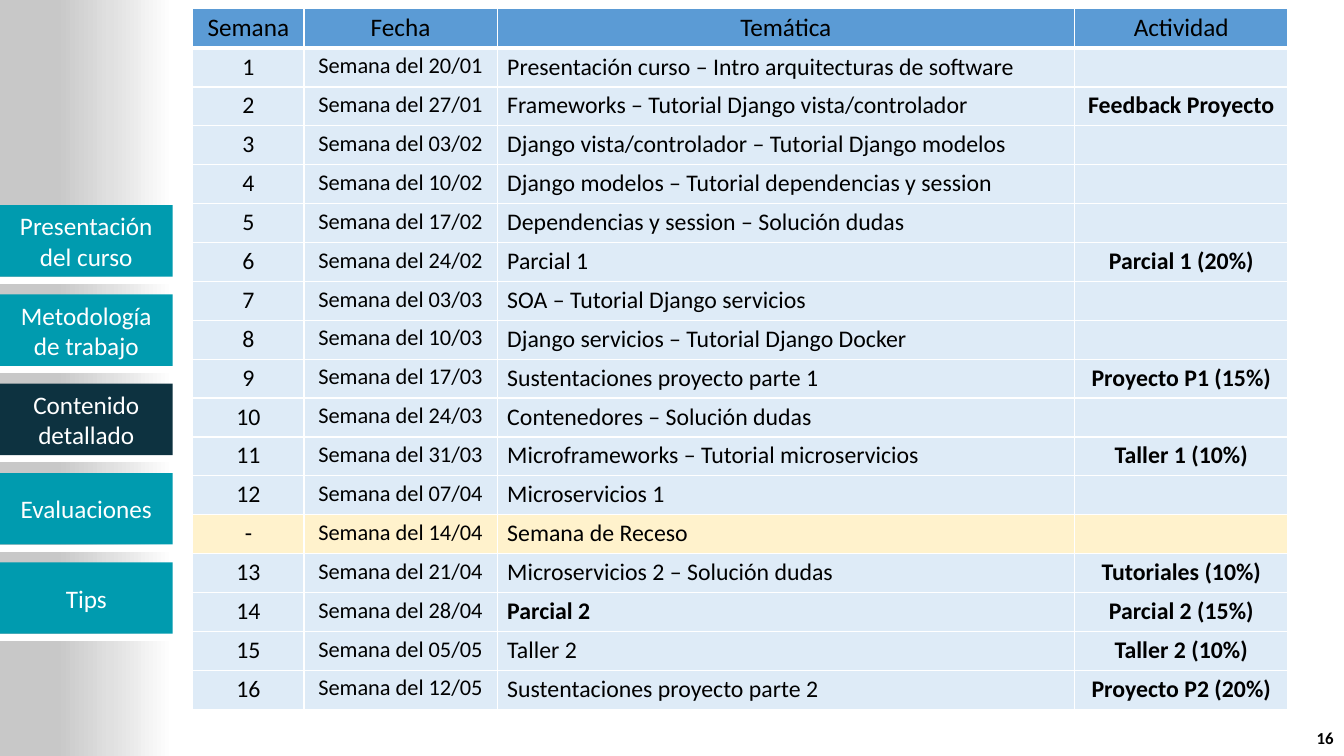
from copy import deepcopy
from dataclasses import dataclass

from pptx import Presentation
from pptx.dml.color import RGBColor
from pptx.enum.shapes import MSO_SHAPE
from pptx.enum.text import MSO_ANCHOR, PP_ALIGN
from pptx.oxml.ns import qn
from pptx.util import Cm, Pt
from lxml import etree

RECT = MSO_SHAPE.RECTANGLE
MIDDLE = MSO_ANCHOR.MIDDLE
LEFT, CENTER, RIGHT = PP_ALIGN.LEFT, PP_ALIGN.CENTER, PP_ALIGN.RIGHT


@dataclass(frozen=True)
class Theme:
    font: str = "Calibri"
    white: str = "FFFFFF"
    black: str = "000000"
    tab: str = "009BAF"
    active_tab: str = "0D3240"
    header: str = "5B9BD5"
    row: str = "DEEBF7"
    break_row: str = "FFF2CC"
    sidebar: tuple = ((0, "FFFFFF"), (0.36, "E0E0E0"), (0.67, "C8C8C8"))
    title_size: int = 18
    body_size: int = 17
    date_size: int = 16
    number_size: int = 12


THEME = Theme()

TABS = ["Presentación del curso", "Metodología de trabajo",
        "Contenido detallado", "Evaluaciones", "Tips"]
ACTIVE_TAB = "Contenido detallado"

HEADERS = ["Semana", "Fecha", "Temática", "Actividad"]
COLUMN_WIDTHS = [2.8, 4.87, 14.55, 5.38]
BREAK_WEEK = "-"
BOLD_TOPIC = "Parcial 2"
WEEKS = [
    ("1", "20/01", "Presentación curso – Intro arquitecturas de software", ""),
    ("2", "27/01", "Frameworks – Tutorial Django vista/controlador", "Feedback Proyecto"),
    ("3", "03/02", "Django vista/controlador – Tutorial Django modelos", ""),
    ("4", "10/02", "Django modelos – Tutorial dependencias y session", ""),
    ("5", "17/02", "Dependencias y session – Solución dudas", ""),
    ("6", "24/02", "Parcial 1", "Parcial 1 (20%)"),
    ("7", "03/03", "SOA – Tutorial Django servicios", ""),
    ("8", "10/03", "Django servicios – Tutorial Django Docker", ""),
    ("9", "17/03", "Sustentaciones proyecto parte 1", "Proyecto P1 (15%)"),
    ("10", "24/03", "Contenedores – Solución dudas", ""),
    ("11", "31/03", "Microframeworks – Tutorial microservicios", "Taller 1 (10%)"),
    ("12", "07/04", "Microservicios 1", ""),
    (BREAK_WEEK, "14/04", "Semana de Receso", ""),
    ("13", "21/04", "Microservicios 2 – Solución dudas", "Tutoriales (10%)"),
    ("14", "28/04", BOLD_TOPIC, "Parcial 2 (15%)"),
    ("15", "05/05", "Taller 2", "Taller 2 (10%)"),
    ("16", "12/05", "Sustentaciones proyecto parte 2", "Proyecto P2 (20%)"),
]


def rgb(color):
    return RGBColor.from_string(color)


def write(tf, text, size, color, align, bold=False):
    p = tf.paragraphs[0]
    p.alignment = align
    if not text:
        p._p.get_or_add_endParaRPr().set("sz", str(size * 100))
        return
    r = p.add_run()
    r.text = text
    r.font.name = THEME.font
    r.font.size = Pt(size)
    r.font.bold = bold
    r.font.color.rgb = rgb(color)


def add_rect(slide, left, top, width, height, color):
    sp = slide.shapes.add_shape(RECT, Cm(left), Cm(top), Cm(width), Cm(height))
    sp.shadow.inherit = False
    sp.fill.solid()
    sp.fill.fore_color.rgb = rgb(color)
    sp.line.fill.background()
    return sp


def add_sidebar(slide, left, top, width, height):
    panel = add_rect(slide, left, top, width, height, THEME.white)
    panel.fill.gradient()
    panel.fill.gradient_angle = 180
    stops = panel._element.spPr.find(".//" + qn("a:gsLst"))
    stops.append(deepcopy(stops[0]))
    for stop, (position, color) in zip(panel.fill.gradient_stops, THEME.sidebar):
        stop.position = position
        stop.color.rgb = rgb(color)

    first_top, pitch, tab_height, rule_height = 5.17, 2.25, 1.8, 0.13
    for i, label in enumerate(TABS):
        tab_top = top + first_top + i * pitch
        rule = add_rect(slide, left, tab_top + tab_height + 0.03, width,
                        rule_height, THEME.white)
        rule.line.color.rgb = rgb(THEME.white)
        rule.line.width = Pt(1.25)
        color = THEME.active_tab if label == ACTIVE_TAB else THEME.tab
        tab = add_rect(slide, left, tab_top, width, tab_height, color)
        tf = tab.text_frame
        tf.word_wrap = True
        tf.vertical_anchor = MIDDLE
        write(tf, label, THEME.title_size, THEME.white, CENTER)


def set_borders(cell, bottom_width):
    tc_pr = cell._tc.get_or_add_tcPr()
    widths = {"lnL": 1, "lnR": 1, "lnT": 1, "lnB": bottom_width}
    for i, (side, width) in enumerate(widths.items()):
        ln = etree.Element(qn("a:" + side), w=str(Pt(width)))
        fill = etree.SubElement(ln, qn("a:solidFill"))
        etree.SubElement(fill, qn("a:srgbClr"), val=THEME.white)
        tc_pr.insert(i, ln)


def fill_cell(cell, text, size, align, color, bold=False, bottom_width=1):
    cell.margin_top = cell.margin_bottom = Cm(0.11)
    cell.fill.solid()
    cell.fill.fore_color.rgb = rgb(color)
    set_borders(cell, bottom_width)
    write(cell.text_frame, text, size, THEME.black, align, bold)


def add_schedule(slide, left, top, width, height):
    frame = slide.shapes.add_table(len(WEEKS) + 1, len(HEADERS),
                                   Cm(left), Cm(top), Cm(width), Cm(height))
    table = frame.table
    for column, column_width in zip(table.columns, COLUMN_WIDTHS):
        column.width = Cm(column_width)
    header_height = 1.0
    for row in table.rows:
        row.height = Cm((height - header_height) / len(WEEKS))
    table.rows[0].height = Cm(header_height)

    for c, title in enumerate(HEADERS):
        fill_cell(table.cell(0, c), title, THEME.title_size, CENTER,
                  THEME.header, bottom_width=3)
    for n, (week, date, topic, activity) in enumerate(WEEKS, start=1):
        color = THEME.break_row if week == BREAK_WEEK else THEME.row
        cells = [
            (week, THEME.body_size, CENTER, False),
            (f"Semana del {date}", THEME.date_size, CENTER, False),
            (topic, THEME.body_size, LEFT, topic == BOLD_TOPIC),
            (activity, THEME.body_size, CENTER, True),
        ]
        for c, (text, size, align, bold) in enumerate(cells):
            fill_cell(table.cell(n, c), text, size, align, color, bold)


def add_page_number(slide, left, top, width, height):
    tb = slide.shapes.add_textbox(Cm(left), Cm(top), Cm(width), Cm(height))
    tf = tb.text_frame
    tf.word_wrap = True
    tf.vertical_anchor = MIDDLE
    write(tf, "16", THEME.number_size, THEME.black, RIGHT, bold=True)


def main():
    prs = Presentation()
    prs.slide_width, prs.slide_height = Cm(33.87), Cm(19.05)
    slide = prs.slides.add_slide(prs.slide_layouts[6])
    add_sidebar(slide, 0, 0, 4.35, 19.05)
    add_schedule(slide, 4.86, 0.21, sum(COLUMN_WIDTHS), 17.66)
    add_page_number(slide, 32.54, 18.17, 1.32, 0.86)
    prs.save("out.pptx")


if __name__ == "__main__":
    main()
